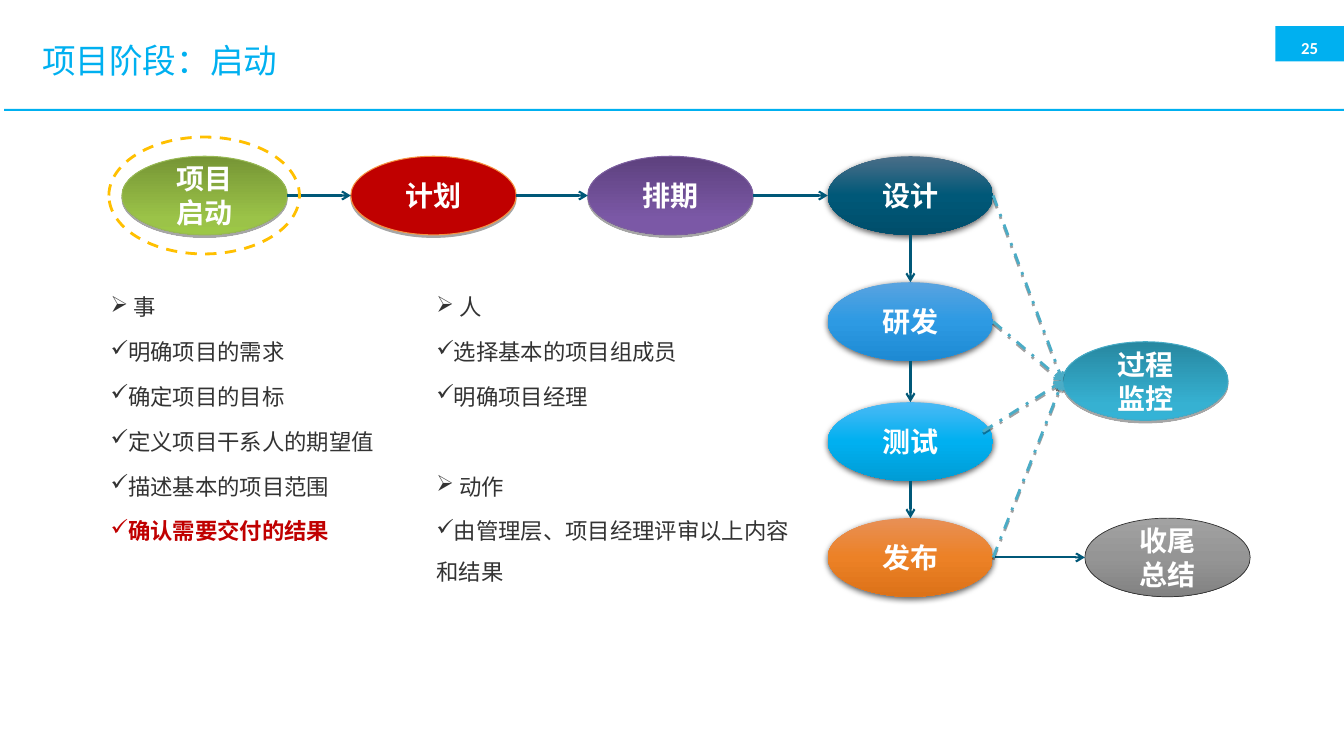
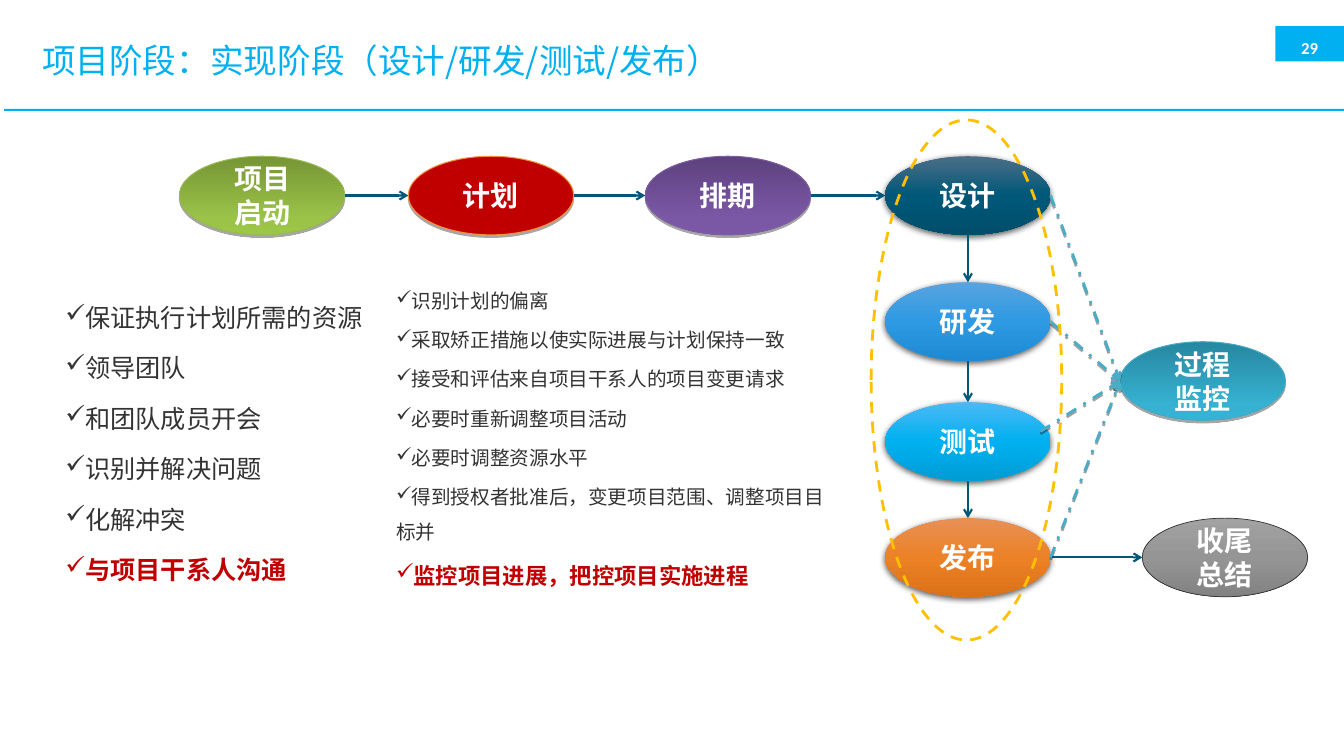
from lxml.etree import SubElement
from pptx import Presentation
from pptx.dml.color import RGBColor
from pptx.enum.dml import MSO_LINE_DASH_STYLE as DASH
from pptx.enum.shapes import MSO_CONNECTOR as CONNECTOR, MSO_SHAPE as SHAPE
from pptx.enum.text import MSO_ANCHOR as ANCHOR, PP_ALIGN as ALIGN
from pptx.oxml.ns import qn
from pptx.util import Inches, Pt

COLORS = {
    "accent": "00B0F0", "white": "FFFFFF", "text": "333333", "alert": "C00000",
    "arrow": "005878", "monitor": "4BACC6", "ring": "FFC000", "shadow": "000000",
}
FONT = "Noto Sans CJK SC"
NUMBER_FONT = "Calibri"
OVAL_WIDTH, OVAL_HEIGHT = 1.64, 0.78
FLAT_SHADOW = (34, 0, 1.8)
SOFT_SHADOW = (63, 4.5, 1.5)
LINK_SHADOW = (37, 0, 1.6)

STAGES = {
    "start": (0, 0, ["项目", "启动"], [(0, "769535"), (80, "9BC348"), (100, "9CC746")], ("98B954", 0.75), FLAT_SHADOW),
    "plan": (2.27, 0, ["计划"], [(0, "C00000")], ("F69240", 0.75), FLAT_SHADOW),
    "schedule": (4.62, 0, ["排期"], [(0, "5D417E"), (80, "7B58A6"), (100, "7B57A8")], ("7D60A0", 0.75), FLAT_SHADOW),
    "design": (7, 0, ["设计"], [(0, "4B6E88"), (50, "005878"), (100, "004E6B")], None, SOFT_SHADOW),
    "develop": (7, 1.25, ["研发"], [(0, "59A3E0"), (50, "2D9AE3"), (100, "1E8AD3")], None, SOFT_SHADOW),
    "test": (7, 2.44, ["测试"], [(0, "4BB9F5"), (50, "00B0F0"), (100, "009CD5")], None, SOFT_SHADOW),
    "release": (7, 3.59, ["发布"], [(0, "E89056"), (50, "EC8126"), (100, "DC7218")], None, SOFT_SHADOW),
    "close": (9.55, 3.59, ["收尾", "总结"], [(0, "A2A2A2"), (50, "959595"), (100, "828282")], ("333333", 0.5), None),
    "monitor": (9.33, 1.84, ["过程", "监控"], [(0, "2787A0"), (80, "36B1D2"), (100, "34B3D6")], ("46AAC5", 0.75), FLAT_SHADOW),
}
ACROSS = [("start", "plan"), ("plan", "schedule"), ("schedule", "design"), ("release", "close")]
DOWN = [("design", "develop"), ("develop", "test"), ("test", "release")]
MONITORED = [("design", 0), ("develop", 0), ("test", -0.1), ("release", 0)]

ARROW_BULLET, CHECK = "➢", "✓"
SLIDES = [
    {
        "number": "25", "title": "项目阶段：启动", "left": 1.21,
        "ring": (-0.13, -0.19, 1.89, 1.16),
        "lists": [
            ((1, 2.73, 3.23, 3.89), 16, [
                (" 事", {"bullet": ARROW_BULLET}),
                ("明确项目的需求", {}),
                ("确定项目的目标", {}),
                ("定义项目干系人的期望值", {}),
                ("描述基本的项目范围", {}),
                ("确认需要交付的结果", {"color": "alert", "bold": True}),
            ]),
            ((4.23, 2.73, 3.7, 3.89), 16, [
                (" 人", {"bullet": ARROW_BULLET}),
                ("选择基本的项目组成员", {}),
                ("明确项目经理", {}),
                (" 动作", {"bullet": ARROW_BULLET, "before": 35.2}),
                ("由管理层、项目经理评审以上内容和结果", {}),
            ]),
        ],
    },
    {
        "number": "29", "title": "项目阶段：实现阶段（设计/研发/测试/发布）", "left": 1.78,
        "ring": (6.86, -0.36, 1.89, 5.16),
        "lists": [
            ((0.55, 2.8, 3.28, 3.43), 18, [
                ("保证执行计划所需的资源", {}),
                ("领导团队", {}),
                ("和团队成员开会", {}),
                ("识别并解决问题", {}),
                ("化解冲突", {}),
                ("与项目干系人沟通", {"color": "alert", "bold": True}),
            ]),
            ((3.83, 2.7, 4.45, 3.66), 14, [
                ("识别计划的偏离", {}),
                ("采取矫正措施以使实际进展与计划保持一致", {}),
                ("接受和评估来自项目干系人的项目变更请求", {}),
                ("必要时重新调整项目活动", {}),
                ("必要时调整资源水平", {}),
                ("得到授权者批准后，变更项目范围、调整项目目标并", {}),
                ("监控项目进展，把控项目实施进程", {"color": "alert", "bold": True, "size": 16}),
            ]),
        ],
    },
]


def rgb(color):
    return RGBColor.from_string(COLORS.get(color, color))


def add_effects(shape, shadow=None):
    effects = SubElement(shape._element.spPr, qn("a:effectLst"))
    if shadow:
        opacity, blur, distance = shadow
        outer = SubElement(effects, qn("a:outerShdw"), blurRad=str(Pt(blur)),
                           dist=str(Pt(distance)), dir="5400000", rotWithShape="0")
        color = SubElement(outer, qn("a:srgbClr"), val=COLORS["shadow"])
        SubElement(color, qn("a:alpha"), val=str(opacity * 1000))


def fill_shape(shape, stops):
    if not stops:
        shape.fill.background()
    elif len(stops) == 1:
        shape.fill.solid()
        shape.fill.fore_color.rgb = rgb(stops[0][1])
    else:
        shape.fill.gradient()
        shape.fill.gradient_angle = 270
        stop_list = shape._element.spPr.find(".//" + qn("a:gsLst"))
        stop_list.clear()
        for position, color in stops:
            stop = SubElement(stop_list, qn("a:gs"), pos=str(position * 1000))
            SubElement(stop, qn("a:srgbClr"), val=color)


def add_shape(slide, kind, box, stops=None, line=None, shadow=None, dash=None):
    shape = slide.shapes.add_shape(kind, *map(Inches, box))
    fill_shape(shape, stops)
    if line:
        shape.line.color.rgb = rgb(line[0])
        shape.line.width = Pt(line[1])
        if dash:
            shape.line.dash_style = dash
    else:
        shape.line.fill.background()
    add_effects(shape, shadow)
    return shape


def add_arrow(slide, start, end, color="arrow", width=1.5, dash=None, shadow=None):
    points = map(Inches, (*start, *end))
    connector = slide.shapes.add_connector(CONNECTOR.STRAIGHT, *points)
    connector.line.color.rgb = rgb(color)
    connector.line.width = Pt(width)
    if dash:
        connector.line.dash_style = dash
    SubElement(connector.line._get_or_add_ln(), qn("a:tailEnd"), type="arrow")
    add_effects(connector, shadow)


def write_text(paragraph, text, size=16, color="text", bold=False, font=FONT,
               align=ALIGN.LEFT, spacing=None, before=0, bullet=None):
    paragraph.alignment = align
    if spacing:
        paragraph.line_spacing = spacing
    if before:
        paragraph.space_before = Pt(before)
    if bullet:
        properties = paragraph._p.get_or_add_pPr()
        properties.set("marL", "0")
        properties.set("indent", "0")
        SubElement(properties, qn("a:buChar"), char=bullet)
    run = paragraph.add_run()
    run.text = text
    run.font.size = Pt(size)
    run.font.bold = bold
    run.font.color.rgb = rgb(color)
    run.font.name = font
    SubElement(run._r.get_or_add_rPr(), qn("a:ea"), typeface=font)


def add_text_frame(slide, box, anchor=ANCHOR.TOP):
    frame = slide.shapes.add_textbox(*map(Inches, box)).text_frame
    frame.word_wrap = True
    frame.vertical_anchor = anchor
    return frame


def next_paragraph(frame, index):
    return frame.add_paragraph() if index else frame.paragraphs[0]


def add_header(slide, title, number):
    accent = [(0, COLORS["accent"])]
    add_shape(slide, SHAPE.RECTANGLE, (12.65, 0.26, 0.68, 0.35), accent)
    add_shape(slide, SHAPE.RECTANGLE, (0.04, 1.08, 13.29, 0.02), accent)
    frame = add_text_frame(slide, (12.75, 0.3, 0.48, 0.27), ANCHOR.BOTTOM)
    frame.margin_left = frame.margin_right = frame.margin_top = frame.margin_bottom = 0
    write_text(frame.paragraphs[0], number, size=12, color="white", bold=True,
               font=NUMBER_FONT, align=ALIGN.CENTER)
    frame = add_text_frame(slide, (0.32, 0.27, 11.74, 0.7), ANCHOR.MIDDLE)
    write_text(frame.paragraphs[0], title, size=24, color="accent", spacing=0.9)


def add_stage(slide, box, lines, stops, line, shadow):
    oval = add_shape(slide, SHAPE.OVAL, box, stops, line, shadow)
    frame = oval.text_frame
    frame.word_wrap = True
    frame.vertical_anchor = ANCHOR.MIDDLE
    for index, text in enumerate(lines):
        write_text(next_paragraph(frame, index), text, size=20, color="white",
                   bold=True, align=ALIGN.CENTER, spacing=Pt(24))


def add_process(slide, left, top, ring):
    def point(name, across, down):
        x, y = STAGES[name][:2]
        return left + x + across * OVAL_WIDTH, top + y + down * OVAL_HEIGHT

    for name, (x, y, *style) in STAGES.items():
        add_stage(slide, (left + x, top + y, OVAL_WIDTH, OVAL_HEIGHT), *style)
    for source, target in ACROSS:
        add_arrow(slide, point(source, 1, 0.5), point(target, 0, 0.5))
    for source, target in DOWN:
        add_arrow(slide, point(source, 0.5, 1), point(target, 0.5, 0))
    for source, inset in MONITORED:
        x, y = point(source, 1, 0.5)
        add_arrow(slide, (x + inset, y - abs(inset)), point("monitor", 0, 0.5), color="monitor",
                  width=2, dash=DASH.DASH_DOT, shadow=LINK_SHADOW)
    x, y, width, height = ring
    add_shape(slide, SHAPE.OVAL, (left + x, top + y, width, height),
              line=("ring", 2), dash=DASH.DASH)


def add_list(slide, box, size, items):
    frame = add_text_frame(slide, box)
    for index, (text, changes) in enumerate(items):
        item_size = changes.get("size", size)
        style = {"size": size, "bullet": CHECK, "spacing": Pt(item_size * 1.8),
                 "before": item_size * 0.2 if index else 0}
        write_text(next_paragraph(frame, index), text, **{**style, **changes})


def main():
    presentation = Presentation()
    presentation.slide_width = Inches(13.33)
    presentation.slide_height = Inches(7.5)
    for content in SLIDES:
        slide = presentation.slides.add_slide(presentation.slide_layouts[6])
        add_header(slide, content["title"], content["number"])
        add_process(slide, content["left"], 1.55, content["ring"])
        for box, size, items in content["lists"]:
            add_list(slide, box, size, items)
    presentation.save("out.pptx")


if __name__ == "__main__":
    main()
